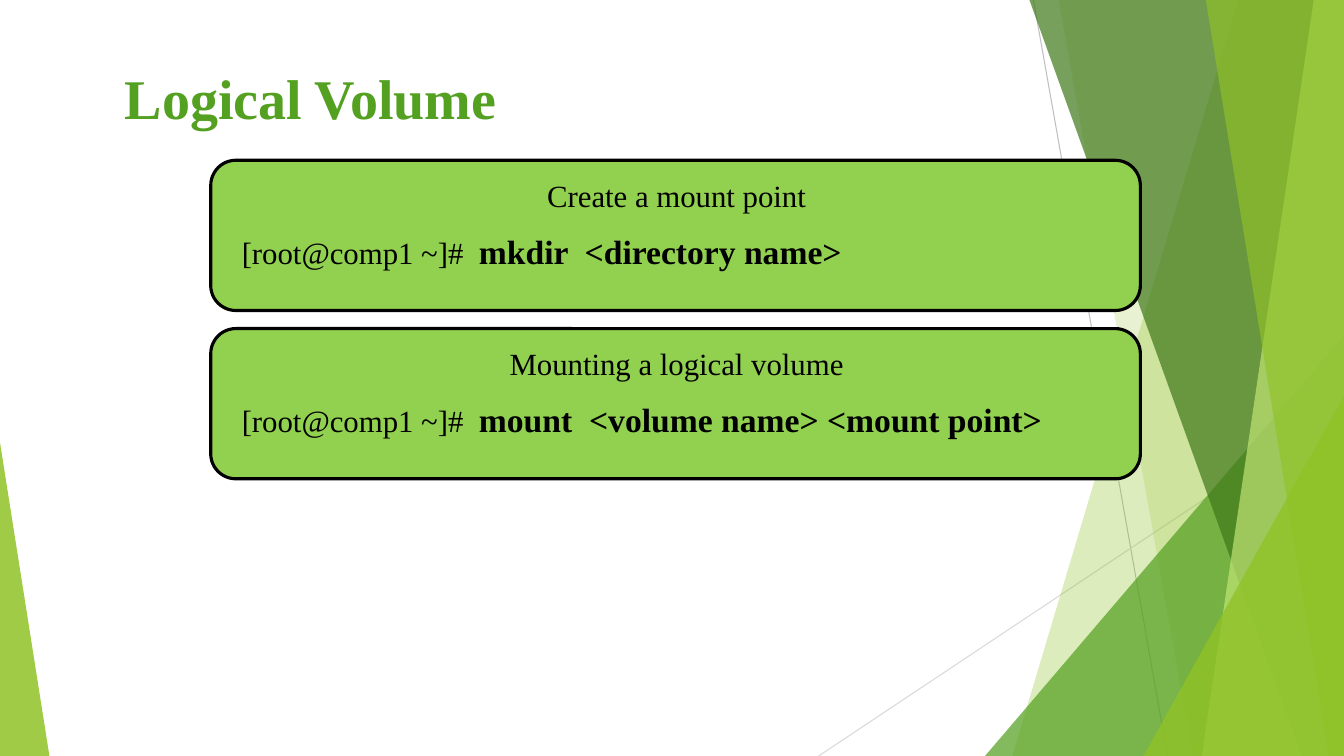
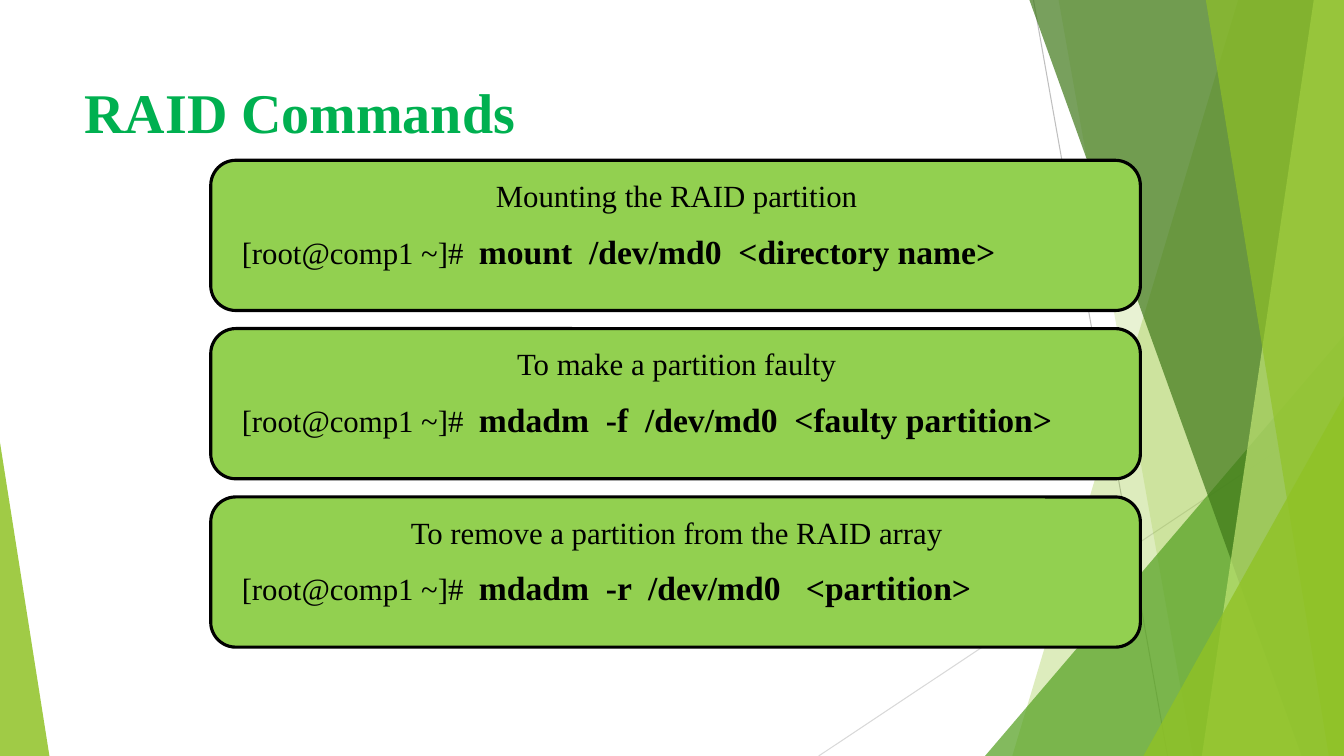
import pptx
import pptx.util
import pptx.oxml
import pptx.oxml.ns
import pptx.dml.color
import pptx.enum.shapes
import pptx.enum.text

SCALE = 9144  # EMU in one px, 100 px to the inch
WIDTH, HEIGHT = 1333, 750
FONT = "Times New Roman"
COLORS = {
    "lime": "90C226",
    "green": "54A021",
    "forest": "3F7819",
    "pale": "C0E474",
    "emerald": "00B050",
    "card": "92D050",
    "black": "000000",
    "grey": "BFBFBF",
    "light": "D9D9D9",
}
SHAPE = pptx.enum.shapes.MSO_SHAPE
ANCHOR = pptx.enum.text.MSO_ANCHOR
ALIGN = pptx.enum.text.PP_ALIGN
PROMPT = "[root@comp1 ~]#  "


def px(*lengths):
    return [pptx.util.Emu(n * SCALE) for n in lengths]


def rgb(name):
    return pptx.dml.color.RGBColor.from_string(COLORS[name])


class Deck:
    def __init__(self):
        self.prs = pptx.Presentation()
        self.prs.slide_width, self.prs.slide_height = px(WIDTH, HEIGHT)
        self.s = None

    def slide(self):
        self.s = self.prs.slides.add_slide(self.prs.slide_layouts[6])
        self.backdrop()

    def paint(self, sp, color, alpha=100, border=None):
        sp.shadow.inherit = False
        sp.fill.solid()
        sp.fill.fore_color.rgb = rgb(color)
        if alpha < 100:
            clr = sp.fill._xPr.find(".//" + pptx.oxml.ns.qn("a:srgbClr"))
            clr.append(pptx.oxml.parse_xml(
                f'<a:alpha {pptx.oxml.ns.nsdecls("a")} val="{alpha * 1000}"/>'))
        if border:
            sp.line.color.rgb = rgb(border)
            sp.line.width = pptx.util.Pt(2.25)
        else:
            sp.line.fill.background()

    def line(self, x1, y1, x2, y2, color):
        cn = self.s.shapes.add_connector(
            pptx.enum.shapes.MSO_CONNECTOR.STRAIGHT, *px(x1, y1, x2, y2))
        cn.line.color.rgb = rgb(color)
        cn.line.width = pptx.util.Pt(0.75)
        cn._element.spPr.append(pptx.oxml.parse_xml(
            f'<a:effectLst {pptx.oxml.ns.nsdecls("a")}/>'))

    def shard(self, top, bottom, color, alpha):
        """Band from a slanted left edge to the right side of the slide."""
        fb = self.s.shapes.build_freeform(top, 0, scale=SCALE)
        fb.add_line_segments([(WIDTH, 0), (WIDTH, HEIGHT), (bottom, HEIGHT)])
        self.paint(fb.convert_to_shape(), color, alpha)

    def corner(self, x, y, w, apex, color, alpha):
        """Triangle standing on the bottom edge of the slide."""
        sp = self.s.shapes.add_shape(
            SHAPE.ISOSCELES_TRIANGLE, *px(x, y, w, HEIGHT - y))
        sp.adjustments[0] = apex
        self.paint(sp, color, alpha)

    def backdrop(self):
        self.line(1025, 0, 1158, HEIGHT, "grey")
        self.line(WIDTH, 403, 812, HEIGHT, "light")
        self.shard(1228, 1004, "lime", 30)
        self.shard(1050, 1183, "lime", 20)
        self.corner(977, 333, 356, 1, "green", 72)
        self.shard(1021, 1291, "forest", 70)
        self.shard(1303, 1192, "pale", 70)
        self.shard(1196, 1318, "lime", 65)
        self.corner(1134, 393, 199, 1, "lime", 80)
        self.corner(0, 439, 49, 0, "lime", 85)

    def run(self, p, text, size, color="black", bold=False):
        r = p.add_run()
        r.text = text
        r.font.name = FONT
        r.font.size = pptx.util.Pt(size)
        r.font.bold = bold
        r.font.color.rgb = rgb(color)

    def title(self, x, y, text, color):
        tf = self.s.shapes.add_textbox(*px(x, y, 940, 144)).text_frame
        tf.word_wrap = True
        tf.vertical_anchor = ANCHOR.TOP
        tf.margin_top, = px(10)
        self.run(tf.paragraphs[0], text, 40, color, True)

    def strip(self, x, y, h, align):
        """Borderless text row inside a card; returns its paragraph."""
        sp = self.s.shapes.add_shape(SHAPE.RECTANGLE, *px(x, y, 884, h))
        self.paint(sp, "card")
        tf = sp.text_frame
        tf.word_wrap = True
        tf.vertical_anchor = ANCHOR.MIDDLE
        p = tf.paragraphs[0]
        p.alignment = align
        return p

    def card(self, y, label, command):
        sp = self.s.shapes.add_shape(
            SHAPE.ROUNDED_RECTANGLE, *px(209, y, 922, 149))
        self.paint(sp, "card", border="black")
        self.run(self.strip(229, y + 11, 47, ALIGN.CENTER), label, 22)
        p = self.strip(230, y + 63, 52, ALIGN.LEFT)
        p.line_spacing = pptx.util.Pt(30)
        self.run(p, PROMPT, 22)
        self.run(p, command, 24, bold=True)

    def cards(self, rows):
        for i, (label, command) in enumerate(rows):
            self.card(159 + 167 * i, label, command)


def main():
    deck = Deck()

    # Logical volume
    deck.slide()
    deck.title(114, 53, "Logical Volume", "green")
    deck.cards([
        ("Create a mount point", "mkdir  <directory name>"),
        ("Mounting a logical volume", "mount  <volume name> <mount point>"),
    ])

    # RAID commands
    deck.slide()
    deck.title(74, 67, "RAID Commands", "emerald")
    deck.cards([
        ("Mounting the RAID partition", "mount  /dev/md0  <directory name>"),
        ("To make a partition faulty",
         "mdadm  -f  /dev/md0  <faulty partition>"),
        ("To remove a partition from the RAID array",
         "mdadm  -r  /dev/md0   <partition>"),
    ])

    deck.prs.save("out.pptx")


if __name__ == "__main__":
    main()
